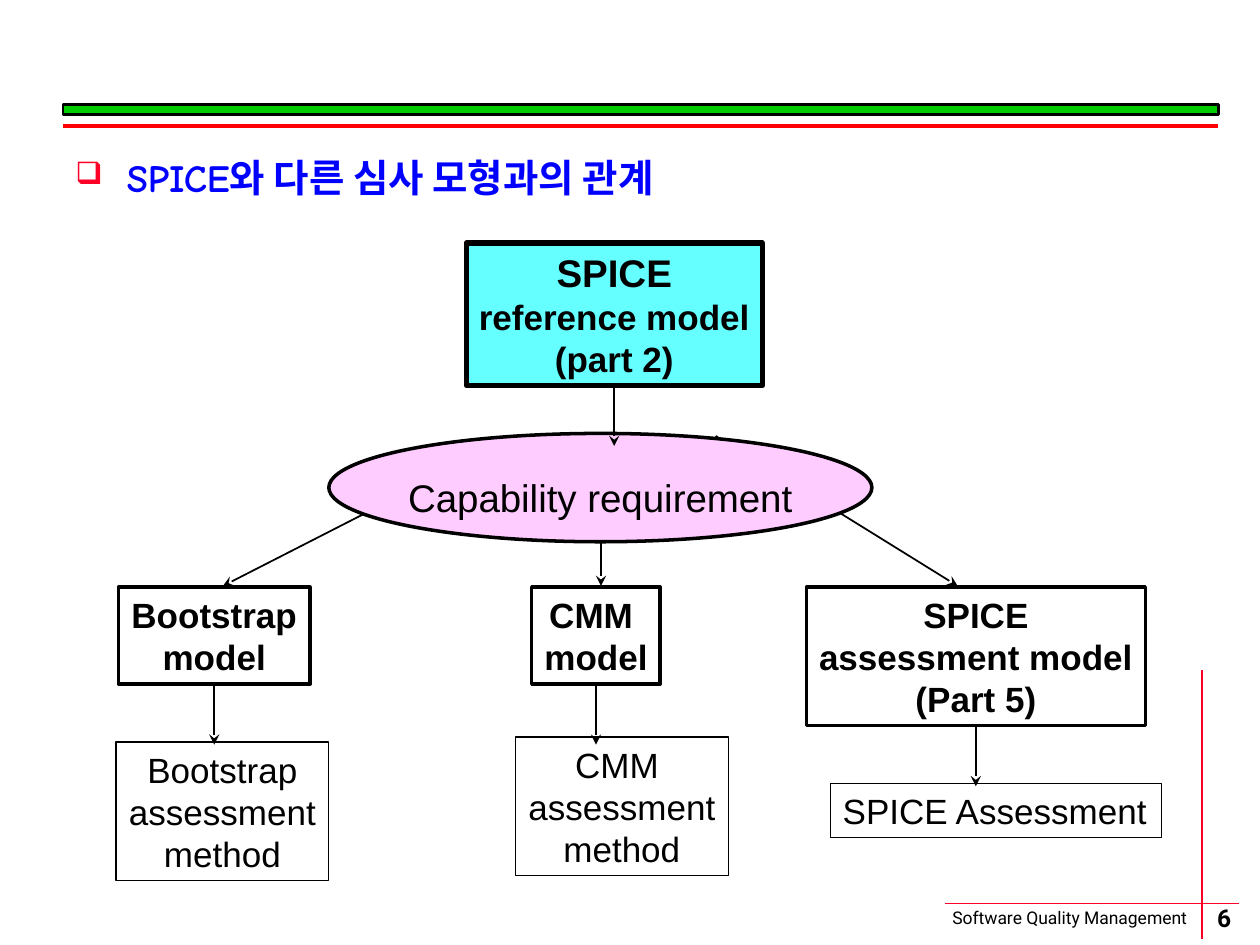
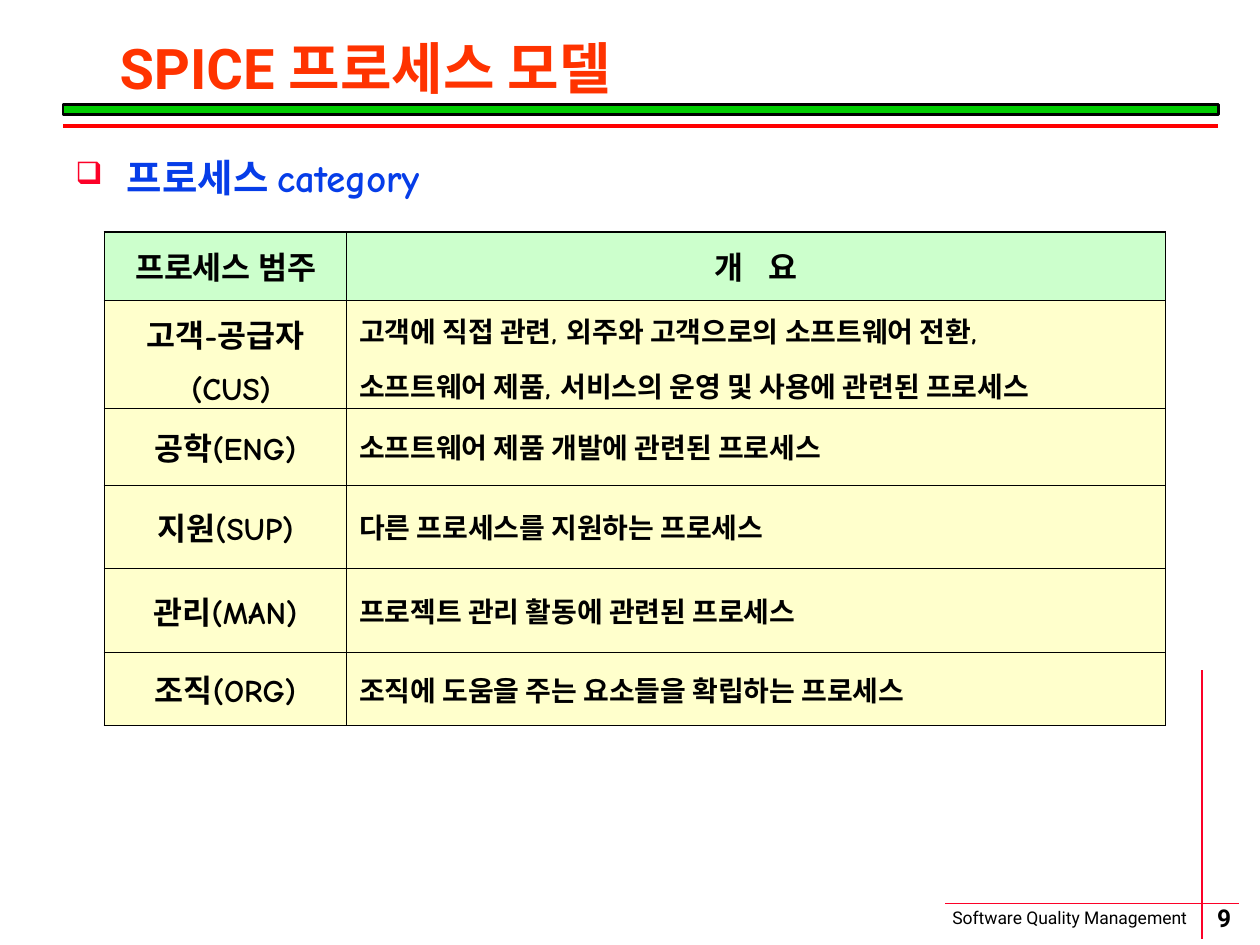
from dataclasses import dataclass

from lxml import etree
from pptx import Presentation
from pptx.dml.color import RGBColor
from pptx.enum.shapes import MSO_CONNECTOR, MSO_SHAPE
from pptx.enum.text import MSO_ANCHOR, MSO_AUTO_SIZE, PP_ALIGN
from pptx.oxml.ns import qn
from pptx.util import Inches, Pt

STRAIGHT = MSO_CONNECTOR.STRAIGHT
RECTANGLE, OVAL = MSO_SHAPE.RECTANGLE, MSO_SHAPE.OVAL
TOP, MIDDLE = MSO_ANCHOR.TOP, MSO_ANCHOR.MIDDLE
LEFT, CENTER = PP_ALIGN.LEFT, PP_ALIGN.CENTER
GROW = MSO_AUTO_SIZE.SHAPE_TO_FIT_TEXT
BOTTOM_SIDE = 2

BLACK = RGBColor(0x00, 0x00, 0x00)
RED = RGBColor(0xFF, 0x00, 0x00)
CRIMSON = RGBColor(0xFC, 0x01, 0x28)
ORANGE = RGBColor(0xFF, 0x33, 0x00)
GREEN = RGBColor(0x00, 0xCC, 0x00)
BLUE = RGBColor(0x00, 0x00, 0xFF)
ROYAL_BLUE = RGBColor(0x06, 0x3D, 0xE8)
CYAN = RGBColor(0x66, 0xFF, 0xFF)
PINK = RGBColor(0xFF, 0xCC, 0xFF)
MINT = RGBColor(0xCC, 0xFF, 0xCC)
CREAM = RGBColor(0xFF, 0xFF, 0xCC)

DIAGRAM_FONT, BODY_FONT, FRAME_FONT = "Arial", "Comic Neue", "Roboto"

# The slide is a grid of 100 columns by 75 rows of square cells.
COLUMNS, ROWS = 100, 75
CELL = Inches(10) // COLUMNS


@dataclass
class Box:
    """A region measured in grid cells."""
    left: float
    top: float
    width: float
    height: float

    def inner(self, left, top, width, height):
        return Box(self.left + left, self.top + top, width, height)

    def point(self, column, row):
        return self.left + column, self.top + row

    def lengths(self):
        return [cells(n) for n in (self.left, self.top, self.width, self.height)]


SLIDE = Box(0, 0, COLUMNS, ROWS)
TITLE = Box(8.5, 3.5, 87.8, 4.4)
HEADING = Box(5, 11.7, 91.7, 60.2)
DIAGRAM = Box(9.2, 19.3, 84, 51)
CATEGORY_TABLE = Box(8.3, 18.4, 84.2, 39.2)


def cells(count):
    return round(count * CELL)


def write(text_frame, text, font, size, color=BLACK, bold=False, align=LEFT,
          anchor=TOP, wrap=True):
    text_frame.text = text
    text_frame.word_wrap = wrap
    text_frame.vertical_anchor = anchor
    for paragraph in text_frame.paragraphs:
        paragraph.alignment = align
        for run in paragraph.runs:
            run.font.name = font
            run.font.size = Pt(size)
            run.font.bold = bold
            run.font.color.rgb = color


def add_text(slide, box, text, font, size, **style):
    text_frame = slide.shapes.add_textbox(*box.lengths()).text_frame
    write(text_frame, text, font, size, **style)
    return text_frame


def add_outlined(slide, kind, box, line_width, fill=None):
    shape = slide.shapes.add_shape(kind, *box.lengths())
    shape.shadow.inherit = False
    if fill is None:
        shape.fill.background()
    else:
        shape.fill.solid()
        shape.fill.fore_color.rgb = fill
    shape.line.color.rgb = BLACK
    shape.line.width = Pt(line_width)
    return shape


def add_line(slide, start, end, color=BLACK, width=1, arrow=False):
    ends = [cells(n) for n in (*start, *end)]
    line = slide.shapes.add_connector(STRAIGHT, *ends)
    line.line.color.rgb = color
    line.line.width = Pt(width)
    properties = line._element.spPr
    if arrow:
        etree.SubElement(properties.find(qn("a:ln")), qn("a:tailEnd"), type="stealth")
    etree.SubElement(properties, qn("a:effectLst"))
    return line


def draw_frame(slide, box, page):
    """Draw the band under the title and the ruled footer."""
    add_line(slide, box.point(75, 71.7), box.point(98.3, 71.7), CRIMSON)
    add_text(slide, box.inner(74.6, 71.5, 21.9, 2.7), "Software Quality Management",
             FRAME_FONT, 10, wrap=False)
    add_line(slide, box.point(95.4, 53.2), box.point(95.4, 74.5), CRIMSON)
    number = add_text(slide, box.inner(92.2, 71.4, 9.9, 2.8), str(page), FRAME_FONT, 14,
                      bold=True, align=CENTER, anchor=MIDDLE, wrap=False)
    number.margin_left = number.margin_right = 0
    number.margin_top = number.margin_bottom = 0
    add_outlined(slide, RECTANGLE, box.inner(5, 8.3, 91.7, 0.8), 1.5, GREEN)
    add_line(slide, box.point(5, 10), box.point(96.7, 10), RED, 2.25)


def draw_title(slide, box, text):
    title = add_text(slide, box, text, FRAME_FONT, 32, color=ORANGE, bold=True,
                     anchor=MIDDLE)
    title.paragraphs[0].line_spacing = 0.9


def draw_heading(slide, box, text, color):
    heading = add_text(slide, box, text, BODY_FONT, 22, color=color, bold=True)
    properties = heading.paragraphs[0]._p.get_or_add_pPr()
    indent = cells(4.1)
    properties.set("marL", str(indent))
    properties.set("indent", str(-indent))
    bullet_color = etree.SubElement(properties, qn("a:buClr"))
    etree.SubElement(bullet_color, qn("a:srgbClr"), val=str(CRIMSON))
    etree.SubElement(properties, qn("a:buSzPct"), val="80000")
    etree.SubElement(properties, qn("a:buChar"), char="❑")


def add_node(slide, box, text, line_width, fill=None, bold=False, align=CENTER):
    node = add_outlined(slide, RECTANGLE, box, line_width, fill)
    write(node.text_frame, text, DIAGRAM_FONT, 20, bold=bold, align=align, wrap=False)
    node.text_frame.auto_size = GROW
    return node


def add_drop_arrow(slide, node, box):
    """Drop an arrow from the middle of the node's lower side."""
    column, row = box.left + box.width / 2, box.top + box.height
    arrow = add_line(slide, (column, row), (column, row + 4.8), arrow=True)
    arrow.begin_connect(node, BOTTOM_SIDE)


def draw_model_diagram(slide, box):
    reference_box = box.inner(27.8, 0, 23.5, 11.3)
    reference = add_node(slide, reference_box, "SPICE\nreference model\n(part 2)",
                         3, CYAN, bold=True)
    reference.text_frame.paragraphs[0].runs[0].font.size = Pt(22)

    fan_top, fan_bottom = 15.3, 27.2
    for start, end in ((31.8, 8.5), (38.5, 38.5), (47.6, 66.8)):
        add_line(slide, box.point(start, fan_top), box.point(end, fan_bottom), arrow=True)

    requirement = add_outlined(slide, OVAL, box.inner(16.9, 15.1, 43.1, 8.6), 2, PINK)
    write(requirement.text_frame, "Capability requirement", DIAGRAM_FONT, 22,
          align=CENTER, anchor=MIDDLE, wrap=False)
    requirement.text_frame.paragraphs[0].line_spacing = 1.4

    branches = (
        ("Bootstrap\nmodel", (0.2, 27.3, 15.2, 7.7),
         "Bootstrap\nassessment\nmethod", (0, 39.6, 16.9, 11), CENTER),
        ("CMM \nmodel", (33, 27.3, 10.2, 7.7),
         "CMM \nassessment\nmethod", (31.7, 39.2, 16.9, 11), CENTER),
        ("SPICE\nassessment model\n(Part 5)", (54.8, 27.3, 26.9, 11),
         "SPICE Assessment", (56.7, 42.9, 26.3, 4.3), LEFT),
    )
    for model_text, model_place, method_text, method_place, align in branches:
        model_box = box.inner(*model_place)
        model = add_node(slide, model_box, model_text, 2, bold=True)
        add_node(slide, box.inner(*method_place), method_text, 0.75, align=align)
        add_drop_arrow(slide, model, model_box)
    add_drop_arrow(slide, reference, reference_box)


def set_borders(cell, outer_sides):
    properties = cell._tc.get_or_add_tcPr()
    for side in "LRTB":
        width = Pt(1.08 if side in outer_sides else 0.45)
        border = etree.SubElement(properties, qn(f"a:ln{side}"), w=str(width))
        fill = etree.SubElement(border, qn("a:solidFill"))
        etree.SubElement(fill, qn("a:srgbClr"), val=str(BLACK))


def draw_category_table(slide, box):
    rows = (
        ("프로세스 범주", "개 요", 5.4),
        ("고객-공급자\n (CUS)", "고객에 직접 관련, 외주와 고객으로의 소프트웨어 전환,\n"
         "소프트웨어 제품, 서비스의 운영 및 사용에 관련된 프로세스", 8.6),
        ("공학(ENG)", "소프트웨어 제품 개발에 관련된 프로세스", 6.1),
        ("지원(SUP)", "다른 프로세스를 지원하는 프로세스", 6.6),
        ("관리(MAN)", "프로젝트 관리 활동에 관련된 프로세스", 6.7),
        ("조직(ORG)", "조직에 도움을 주는 요소들을 확립하는 프로세스", 5.8),
    )
    category_width = 19.2
    table = slide.shapes.add_table(len(rows), 2, *box.lengths()).table
    table.first_row = table.horz_banding = False
    table.columns[0].width = cells(category_width)
    table.columns[1].width = cells(box.width - category_width)

    for row, (category, summary, height) in enumerate(rows):
        table.rows[row].height = cells(height)
        is_header = row == 0
        row_sides = "T" if is_header else "B" if row == len(rows) - 1 else ""
        for column, text in enumerate((category, summary)):
            cell = table.cell(row, column)
            set_borders(cell, row_sides + "LR"[column])
            cell.fill.solid()
            cell.fill.fore_color.rgb = MINT if is_header else CREAM
            is_label = is_header or column == 0
            write(cell.text_frame, text, BODY_FONT, 18 if is_label else 16, bold=True,
                  align=CENTER if is_label else LEFT)
            cell.vertical_anchor = MIDDLE
            paragraphs = cell.text_frame.paragraphs
            if len(paragraphs) > 1:
                for paragraph in paragraphs:
                    paragraph.line_spacing = 1.1
                paragraphs[1].space_before = Pt(6.8 if is_label else 6)
    spread_run = table.cell(0, 1).text_frame.paragraphs[0].runs[0]
    spread_run._r.get_or_add_rPr().set("spc", "500")


def add_page(presentation, page, heading, heading_color):
    slide = presentation.slides.add_slide(presentation.slide_layouts[6])
    draw_frame(slide, SLIDE, page)
    draw_heading(slide, HEADING, heading, heading_color)
    return slide


def main():
    presentation = Presentation()
    presentation.slide_width = cells(COLUMNS)
    presentation.slide_height = cells(ROWS)

    relation_slide = add_page(presentation, 6, "SPICE와 다른 심사 모형과의 관계", BLUE)
    draw_model_diagram(relation_slide, DIAGRAM)

    category_slide = add_page(presentation, 9, "프로세스 category", ROYAL_BLUE)
    draw_title(category_slide, TITLE, "SPICE 프로세스 모델")
    draw_category_table(category_slide, CATEGORY_TABLE)

    presentation.save("out.pptx")


if __name__ == "__main__":
    main()
